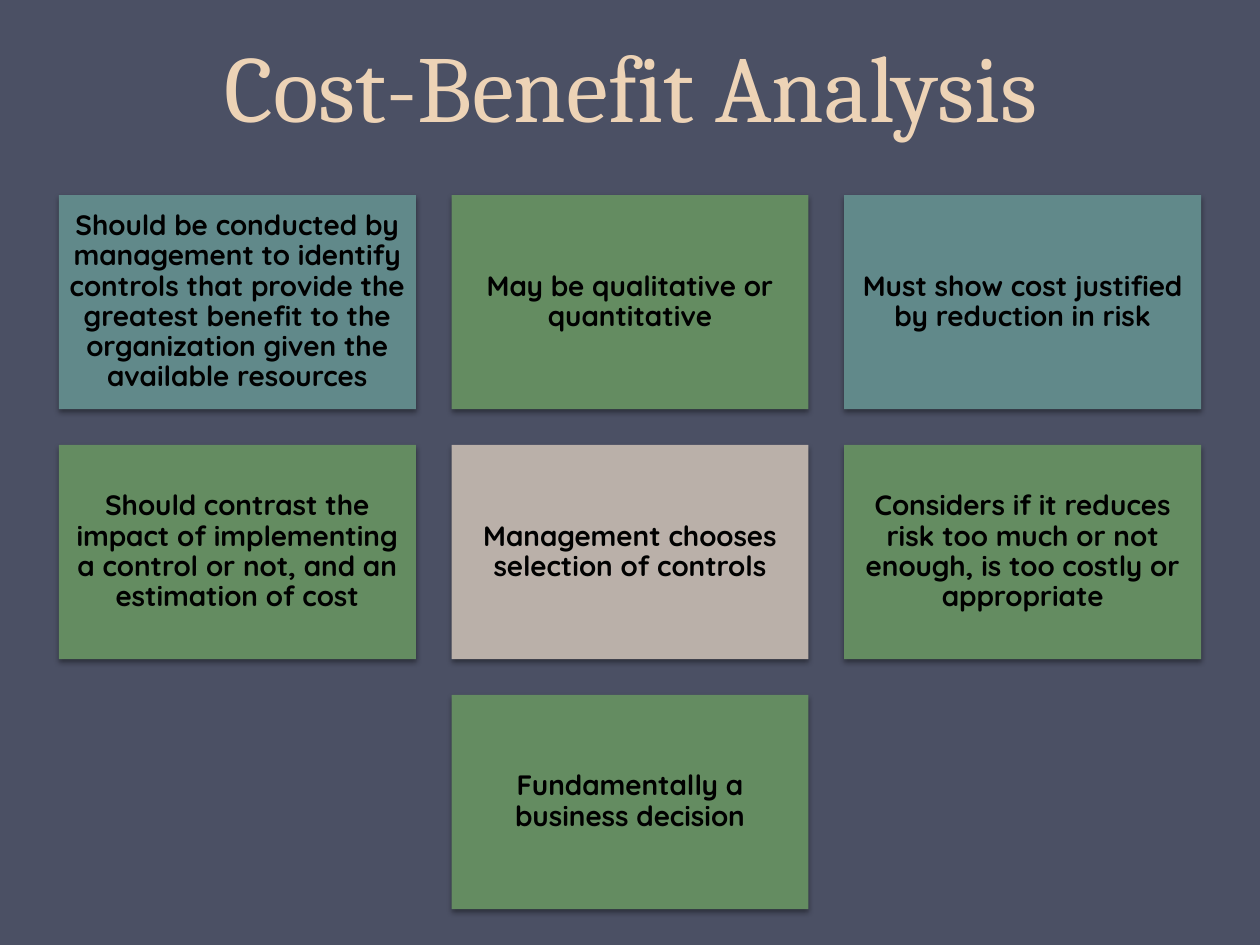
from lxml import etree
from pptx import Presentation
from pptx.dml.color import RGBColor
from pptx.enum.shapes import MSO_SHAPE
from pptx.enum.text import MSO_ANCHOR, PP_ALIGN
from pptx.oxml.ns import qn
from pptx.util import Pt

RECTANGLE = MSO_SHAPE.RECTANGLE
CENTER = PP_ALIGN.CENTER
MIDDLE, BOTTOM = MSO_ANCHOR.MIDDLE, MSO_ANCHOR.BOTTOM

SLATE = RGBColor(0x4B, 0x50, 0x64)
CREAM = RGBColor(0xED, 0xD3, 0xB6)
TEAL = RGBColor(0x61, 0x89, 0x8A)
GREEN = RGBColor(0x64, 0x8C, 0x61)
TAUPE = RGBColor(0xBA, 0xB0, 0xA9)
BLACK = RGBColor(0, 0, 0)

TITLE_FONT = {"name": "Cambria", "size": Pt(54)}
CARD_FONT = {"name": "Quicksand", "size": Pt(16), "bold": True}
CARD_FRAME = {"word_wrap": True, "vertical_anchor": MIDDLE,
              "margin_left": Pt(5), "margin_right": Pt(5),
              "margin_top": Pt(5), "margin_bottom": Pt(5)}
TITLE_FRAME = {"word_wrap": True, "vertical_anchor": BOTTOM}

CARD_ROWS = [
    [("Should be conducted by management to identify controls that provide "
      "the greatest benefit to the organization given the available resources", TEAL),
     ("May be qualitative or quantitative", GREEN),
     ("Must show cost justified by reduction in risk", TEAL)],
    [("Should contrast the impact of implementing a control or not, "
      "and an estimation of cost", GREEN),
     ("Management chooses selection of controls", TAUPE),
     ("Considers if it reduces risk too much or not enough, "
      "is too costly or appropriate", GREEN)],
    [("Fundamentally a business decision", GREEN)],
]


def set_all(target, values):
    for name, value in values.items():
        setattr(target, name, value)


def write_text(holder, text, frame_format, font_format, color, line_spacing):
    frame = holder.text_frame
    set_all(frame, frame_format)
    paragraph = frame.paragraphs[0]
    set_all(paragraph, {"alignment": CENTER, "line_spacing": line_spacing})
    run = paragraph.add_run()
    run.text = text
    set_all(run.font, font_format)
    run.font.color.rgb = color


def add_soft_shadow(card):
    card.shadow.inherit = False
    effects = card.fill._xPr.find(qn("a:effectLst"))
    shadow = etree.SubElement(effects, qn("a:outerShdw"), blurRad=str(Pt(3.1)),
                              dist=str(Pt(1.6)), dir="5400000", rotWithShape="0")
    shade = etree.SubElement(shadow, qn("a:srgbClr"), val=str(BLACK))
    etree.SubElement(shade, qn("a:alpha"), val="38000")


def add_title(slide, left, top, width, height):
    title = slide.shapes.add_textbox(Pt(left), Pt(top), Pt(width), Pt(height))
    write_text(title, "Cost-Benefit Analysis", TITLE_FRAME, TITLE_FONT, CREAM, Pt(58))


def add_card(slide, left, top, width, height, text, color):
    card = slide.shapes.add_shape(RECTANGLE, Pt(left), Pt(top), Pt(width), Pt(height))
    card.fill.solid()
    card.fill.fore_color.rgb = color
    card.line.fill.background()
    add_soft_shadow(card)
    write_text(card, text, CARD_FRAME, CARD_FONT, BLACK, 0.9)


def add_card_grid(slide, left, top, width, height, gap):
    columns = max(len(row) for row in CARD_ROWS)
    card_width = (width - gap * (columns - 1)) / columns
    card_height = (height - gap * (len(CARD_ROWS) - 1)) / len(CARD_ROWS)
    for row_index, row in enumerate(CARD_ROWS):
        indent = (columns - len(row)) * (card_width + gap) / 2
        card_top = top + row_index * (card_height + gap)
        for column, (text, color) in enumerate(row):
            card_left = left + indent + column * (card_width + gap)
            add_card(slide, card_left, card_top, card_width, card_height, text, color)


def main():
    deck = Presentation()
    deck.slide_width, deck.slide_height = Pt(720), Pt(540)
    slide = deck.slides.add_slide(deck.slide_layouts[6])
    slide.background.fill.solid()
    slide.background.fill.fore_color.rgb = SLATE
    add_title(slide, 36.5, -41.8, 648, 126)
    add_card_grid(slide, 33.6, 111.5, 652.8, 408, 20.4)
    deck.save("out.pptx")


if __name__ == "__main__":
    main()
